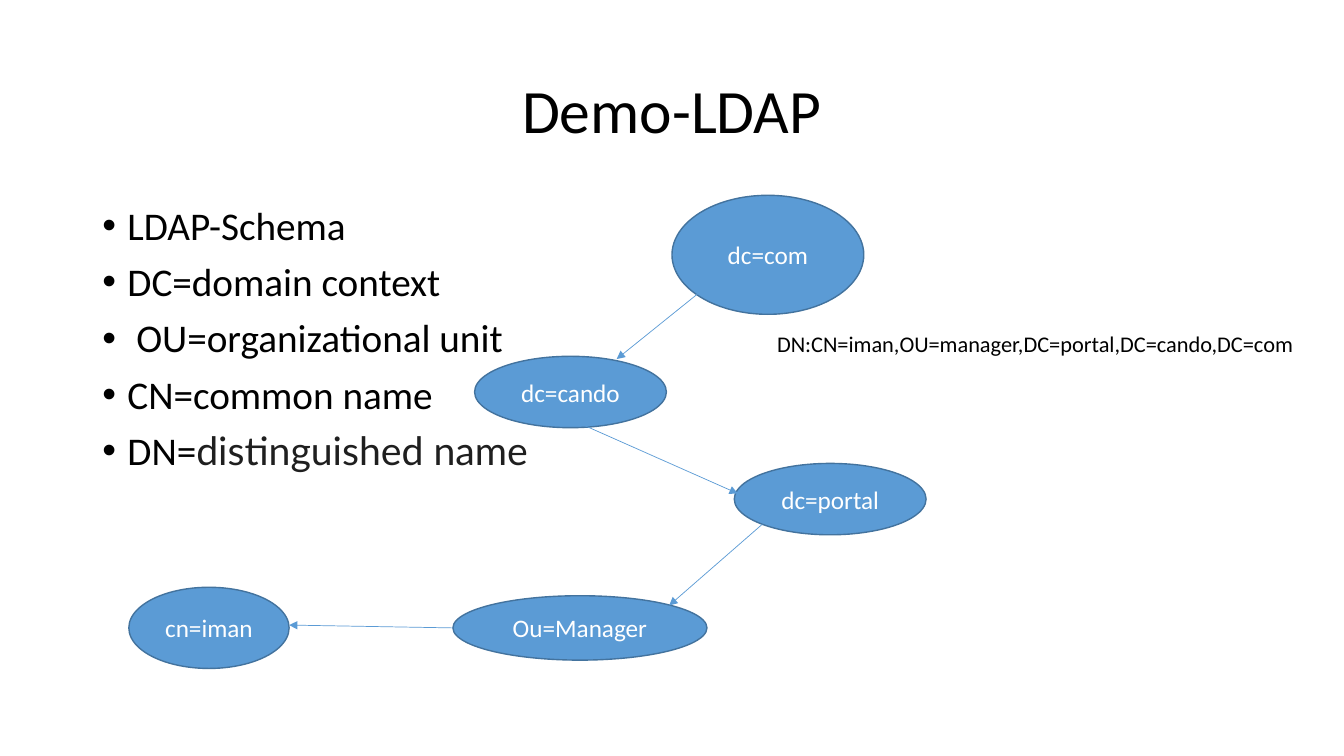
from lxml import etree
from pptx import Presentation
from pptx.dml.color import RGBColor
from pptx.enum import shapes, text
from pptx.oxml import ns
from pptx.util import Pt

BLACK = RGBColor(0x00, 0x00, 0x00)
WHITE = RGBColor(0xFF, 0xFF, 0xFF)
CHARCOAL = RGBColor(0x1F, 0x1F, 0x1F)
BLUE = RGBColor(0x5B, 0x9B, 0xD5)
DARK_BLUE = RGBColor(0x43, 0x73, 0x9E)

TAB_STOP = Pt(482)

BULLETS = [
    [("LDAP-Schema", 28, "Calibri", BLACK)],
    [("DC=domain context", 28, "Calibri", BLACK)],
    [(" OU=organizational unit\t", 28, "Calibri", BLACK),
     ("DN:CN=iman,OU=manager,DC=portal,DC=cando,DC=com", 16, "Calibri", BLACK)],
    [("CN=common name", 28, "Calibri", BLACK)],
    [("DN=", 28, "Calibri", BLACK), ("distinguished name", 28, "Lato", CHARCOAL)],
]

ENTRIES = [
    ("dc=com", 480, 139.5, 137, 85),
    ("dc=cando", 339, 254.5, 137, 51),
    ("dc=portal", 524.5, 331, 137, 51),
    ("Ou=Manager", 323.5, 425.5, 181.5, 46),
    ("cn=iman", 92, 419.5, 114.5, 58),
]

ARROWS = [
    ((515, 196.5), (440.5, 256.5)),
    ((412, 301.5), (527, 352.5)),
    ((544.5, 374.5), (478, 432.5)),
    ((323.5, 448.5), (206.5, 446.5)),
]


def style_span(span, size, font, color):
    span.font.size = Pt(size)
    span.font.name = font
    span.font.color.rgb = color


def place(shape, left, top, width, height):
    shape.left, shape.top = Pt(left), Pt(top)
    shape.width, shape.height = Pt(width), Pt(height)


def set_title(page, wording):
    title = page.shapes.title
    place(title, 66, 29, 828, 104.5)
    frame = title.text_frame
    frame.text = wording
    frame.vertical_anchor = text.MSO_ANCHOR.MIDDLE
    para = frame.paragraphs[0]
    para.alignment = text.PP_ALIGN.CENTER
    para.line_spacing = 0.9
    style_span(para.runs[0], 44, "Calibri", BLACK)


def set_bullet(para):
    properties = para._p.get_or_add_pPr()
    properties.set("marL", str(Pt(18)))
    properties.set("indent", str(-Pt(18)))
    font = etree.SubElement(properties, ns.qn("a:buFont"))
    font.set("typeface", "Arial")
    etree.SubElement(properties, ns.qn("a:buChar")).set("char", "•")
    tabs = etree.SubElement(properties, ns.qn("a:tabLst"))
    stop = etree.SubElement(tabs, ns.qn("a:tab"))
    stop.set("pos", str(TAB_STOP))
    stop.set("algn", "l")


def add_bullets(page, bullets):
    box = page.shapes.add_textbox(Pt(66), Pt(143.75), Pt(881), Pt(342.5))
    frame = box.text_frame
    frame.word_wrap = True
    for index, spans in enumerate(bullets):
        para = frame.add_paragraph() if index else frame.paragraphs[0]
        para.line_spacing = 0.9
        para.space_before = Pt(10)
        set_bullet(para)
        for wording, size, font, color in spans:
            span = para.add_run()
            span.text = wording
            style_span(span, size, font, color)


def add_entry(page, wording, left, top, width, height):
    entry = page.shapes.add_shape(
        shapes.MSO_SHAPE.OVAL, Pt(left), Pt(top), Pt(width), Pt(height))
    entry.shadow.inherit = False
    entry.fill.solid()
    entry.fill.fore_color.rgb = BLUE
    entry.line.color.rgb = DARK_BLUE
    entry.line.width = Pt(1)
    frame = entry.text_frame
    frame.text = wording
    frame.vertical_anchor = text.MSO_ANCHOR.MIDDLE
    para = frame.paragraphs[0]
    para.alignment = text.PP_ALIGN.CENTER
    style_span(para.runs[0], 18, "Calibri", WHITE)


def add_arrow(page, start, end):
    arrow = page.shapes.add_connector(
        shapes.MSO_CONNECTOR.STRAIGHT, *map(Pt, start + end))
    arrow.line.color.rgb = BLUE
    arrow.line.width = Pt(0.5)
    tail = etree.SubElement(arrow.line._get_or_add_ln(), ns.qn("a:tailEnd"))
    tail.set("type", "triangle")
    etree.SubElement(arrow._element.spPr, ns.qn("a:effectLst"))


def main():
    deck = Presentation()
    deck.slide_width, deck.slide_height = Pt(960), Pt(540)
    page = deck.slides.add_slide(deck.slide_layouts[5])
    set_title(page, "Demo-LDAP")
    add_bullets(page, BULLETS)
    for entry in ENTRIES:
        add_entry(page, *entry)
    for start, end in ARROWS:
        add_arrow(page, start, end)
    deck.save("out.pptx")


if __name__ == "__main__":
    main()
